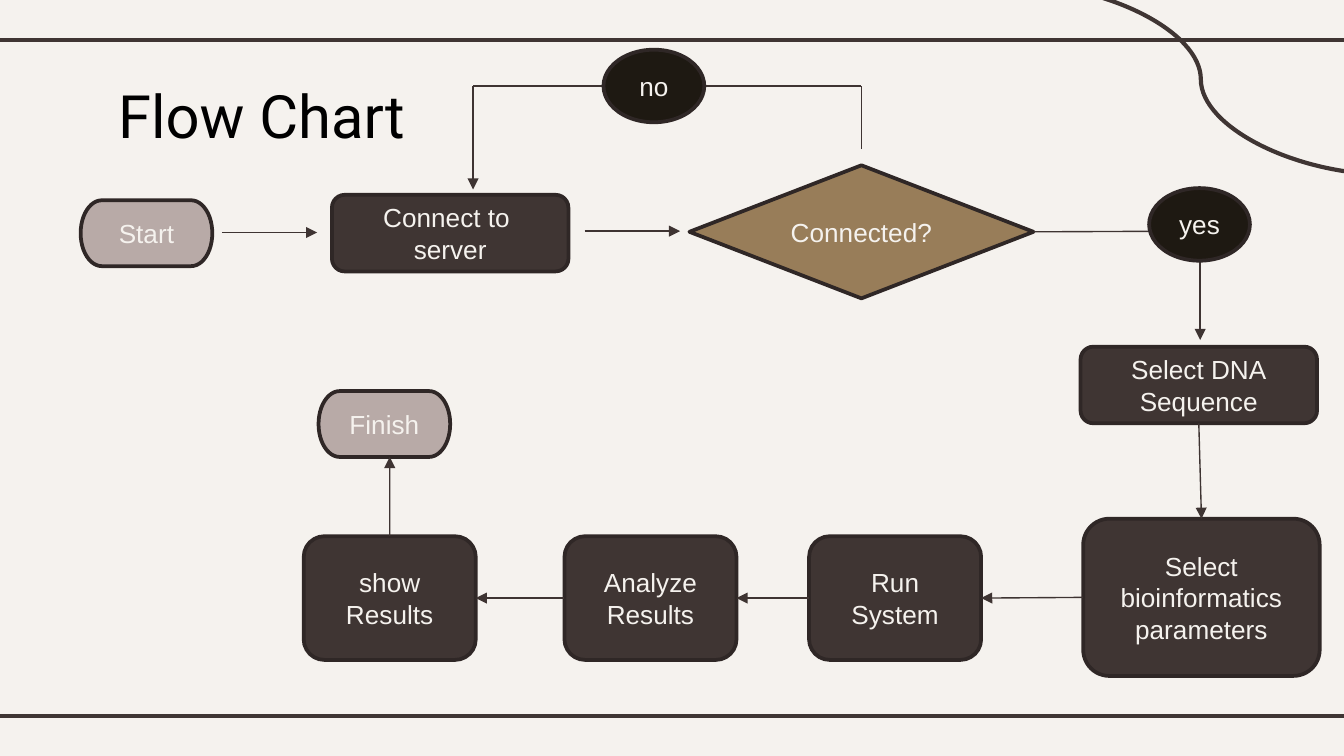
from dataclasses import dataclass

from lxml.etree import SubElement
from pptx import Presentation
from pptx.dml.color import RGBColor
from pptx.enum.shapes import MSO_CONNECTOR, MSO_SHAPE
from pptx.enum.text import MSO_ANCHOR, PP_ALIGN
from pptx.oxml.ns import qn
from pptx.util import Inches, Pt


@dataclass(frozen=True)
class Theme:
    background: RGBColor = RGBColor.from_string("F5F2EE")
    title: RGBColor = RGBColor.from_string("000000")
    frame: RGBColor = RGBColor.from_string("3F3533")
    arrow: RGBColor = RGBColor.from_string("3E3432")
    outline: RGBColor = RGBColor.from_string("2F2726")
    terminal: RGBColor = RGBColor.from_string("B8AAA7")
    process: RGBColor = RGBColor.from_string("3F3533")
    decision: RGBColor = RGBColor.from_string("987D59")
    answer: RGBColor = RGBColor.from_string("1E1912")
    title_font: str = "Roboto"
    node_font: str = "Arial"
    title_size: int = 32
    node_size: int = 14


theme = Theme()
TOP, LEFT, BOTTOM, RIGHT = range(4)

# Widescreen slide, 16 to 9
presentation = Presentation()
presentation.slide_width = Inches(10)
presentation.slide_height = Inches(10 * 9 / 16)
slide = presentation.slides.add_slide(presentation.slide_layouts[6])
slide.background.fill.solid()
slide.background.fill.fore_color.rgb = theme.background


def add_node(kind, text, left, top, width, height, fill):
    shape = slide.shapes.add_shape(
        kind, Inches(left), Inches(top), Inches(width), Inches(height))
    shape.shadow.inherit = False
    shape.fill.solid()
    shape.fill.fore_color.rgb = fill
    shape.line.color.rgb = theme.outline
    shape.line.width = Pt(2)
    frame = shape.text_frame
    frame.word_wrap = True
    frame.vertical_anchor = MSO_ANCHOR.MIDDLE
    frame.text = text
    for paragraph in frame.paragraphs:
        paragraph.alignment = PP_ALIGN.CENTER
        paragraph.font.name = theme.node_font
        paragraph.font.size = Pt(theme.node_size)
        paragraph.font.color.rgb = theme.background
    return shape


def add_line(start, end, color=theme.arrow, width=0.75, arrow=False,
             kind=MSO_CONNECTOR.STRAIGHT):
    connector = slide.shapes.add_connector(
        kind, *(Inches(value) for value in (*start, *end)))
    connector.line.color.rgb = color
    connector.line.width = Pt(width)
    properties = connector._element.spPr
    if arrow:
        SubElement(properties.find(qn("a:ln")), qn("a:tailEnd"), type="triangle")
    SubElement(properties, qn("a:effectLst"))
    return connector


# Frame lines and corner curve
for y in (0.3, 5.33):
    add_line((0, y), (10, y), theme.frame, 2.25)
add_line((7.53, -0.12), (10.34, 1.3), theme.frame, 2.25, kind=MSO_CONNECTOR.CURVE)

# Title
title = slide.shapes.add_textbox(Inches(0.78), Inches(0.49), Inches(2.35), Inches(0.63))
title_frame = title.text_frame
title_frame.word_wrap = True
title_frame.margin_top = title_frame.margin_bottom = Inches(0.1)
title_frame.text = "Flow Chart"
paragraph = title_frame.paragraphs[0]
paragraph.font.name = theme.title_font
paragraph.font.size = Pt(theme.title_size)
paragraph.font.color.rgb = theme.title

# Start, finish and decision
for text, left, top in (("Start", 0.6, 1.49), ("Finish", 2.37, 2.91)):
    add_node(MSO_SHAPE.FLOWCHART_TERMINATOR, text, left, top, 0.98, 0.49, theme.terminal)
decision = add_node(MSO_SHAPE.DIAMOND, "Connected?", 5.13, 1.23, 2.56, 0.99, theme.decision)

# Process steps
steps = {}
for name, text, left, top, width, height in (
    ("connect", "Connect to \nserver", 2.47, 1.45, 1.76, 0.57),
    ("select", "Select DNA\nSequence", 8.04, 2.58, 1.76, 0.57),
    ("parameters", "Select\nbioinformatics parameters", 8.06, 3.86, 1.76, 1.17),
    ("run", "Run\nSystem", 6.02, 3.99, 1.28, 0.92),
    ("analyze", "Analyze\nResults", 4.2, 3.99, 1.28, 0.92),
    ("show", "show\nResults", 2.26, 3.99, 1.28, 0.92),
):
    steps[name] = add_node(
        MSO_SHAPE.ROUNDED_RECTANGLE, text, left, top, width, height, theme.process)

# Free lines: arrows of the top row, the "no" loop and the drop from "yes"
for start, end, arrow in (
    ((1.65, 1.73), (2.36, 1.73), True),
    ((4.35, 1.72), (5.06, 1.72), True),
    ((6.41, 1.11), (6.41, 0.64), False),
    ((6.41, 0.64), (3.52, 0.64), False),
    ((3.52, 0.64), (3.52, 1.41), True),
    ((8.93, 1.72), (8.93, 2.53), True),
):
    add_line(start, end, arrow=arrow)
yes_line = add_line((7.69, 1.73), (8.93, 1.72))
yes_line.begin_connect(decision, RIGHT)

# Arrows joined to the steps at both ends
for source, source_side, target, target_side, start, end in (
    ("select", BOTTOM, "parameters", TOP, (8.93, 3.15), (8.94, 3.86)),
    ("parameters", LEFT, "run", RIGHT, (8.06, 4.45), (7.3, 4.45)),
    ("run", LEFT, "analyze", RIGHT, (6.02, 4.45), (5.48, 4.45)),
    ("analyze", LEFT, "show", RIGHT, (4.2, 4.45), (3.54, 4.45)),
):
    connector = add_line(start, end, arrow=True)
    connector.begin_connect(steps[source], source_side)
    connector.end_connect(steps[target], target_side)

# The last arrow meets the finish right of its middle
finish_arrow = add_line((2.9, 3.99), (2.9, 3.4), arrow=True)
finish_arrow.begin_connect(steps["show"], TOP)

# Answers cover the lines that pass behind them
for text, left, top in (("no", 4.49, 0.37), ("yes", 8.55, 1.4)):
    add_node(MSO_SHAPE.OVAL, text, left, top, 0.75, 0.54, theme.answer)

presentation.save("out.pptx")
